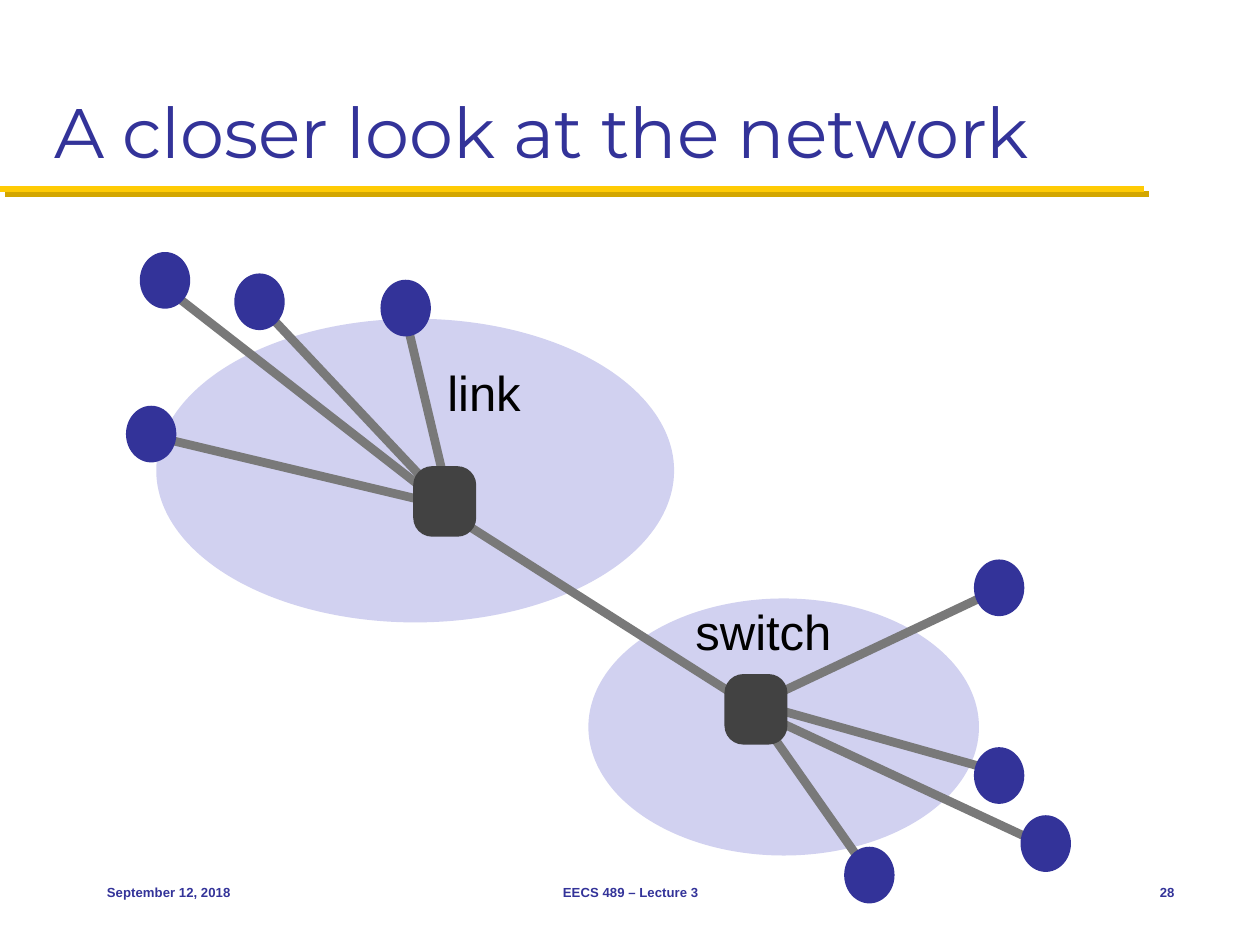
from lxml import etree
from pptx import Presentation
from pptx.dml.color import RGBColor
from pptx.enum import shapes, text
from pptx.oxml.ns import qn
from pptx.util import Inches, Pt

NAVY = RGBColor(0x33, 0x33, 0x99)
LAVENDER = RGBColor(0xD1, 0xD1, 0xF0)
LINK_GRAY = RGBColor(0x79, 0x79, 0x79)
SWITCH_GRAY = RGBColor(0x42, 0x42, 0x42)
GOLD = RGBColor(0xFF, 0xCB, 0x05)
DARK_GOLD = RGBColor(0xD3, 0xA6, 0x00)
BLACK = RGBColor(0, 0, 0)

presentation = Presentation()
presentation.slide_width = Inches(10)
presentation.slide_height = Inches(7.5)
slide = presentation.slides.add_slide(presentation.slide_layouts[5])


def add_line(start, end, color, width):
    """Draw a straight line and return its empty effect list."""
    line = slide.shapes.add_connector(
        shapes.MSO_CONNECTOR.STRAIGHT, *map(Inches, start + end))
    line.line.color.rgb = color
    line.line.width = Pt(width)
    return etree.SubElement(line._element.spPr, qn("a:effectLst"))


def add_filled(kind, box, color):
    shape = slide.shapes.add_shape(kind, *map(Inches, box))
    shape.shadow.inherit = False
    shape.fill.solid()
    shape.fill.fore_color.rgb = color
    shape.line.fill.background()
    return shape


# Title and the gold rule with its hard shadow
title = slide.shapes.title
title.left, title.top = Inches(0.33), Inches(0.17)
title.width, title.height = Inches(9.33), Inches(1.25)
frame = title.text_frame
frame.text = "A closer look at the network"
frame.auto_size = text.MSO_AUTO_SIZE.NONE
frame.vertical_anchor = text.MSO_ANCHOR.BOTTOM
frame.paragraphs[0].alignment = text.PP_ALIGN.LEFT
font = frame.paragraphs[0].runs[0].font
font.name, font.size, font.color.rgb = "Montserrat", Pt(40), NAVY

effects = add_line((0, 1.5), (9.08, 1.5), GOLD, 3.5)
shadow = etree.SubElement(effects, qn("a:outerShdw"), dist=str(Pt(4.2)),
                          dir=str(45 * 60000), algn="ctr", rotWithShape="0")
etree.SubElement(shadow, qn("a:srgbClr"), val=str(DARK_GOLD))

# Networks
for box in ((4.67, 4.75, 3.1, 2.04), (1.24, 2.53, 4.11, 2.41)):
    add_filled(shapes.MSO_SHAPE.OVAL, box, LAVENDER)

# Links
for start, end in (
    ((3.22, 2.52), (3.58, 4.04)),
    ((1.21, 3.46), (3.48, 4)),
    ((1.32, 2.29), (3.44, 3.94)),
    ((2.06, 2.42), (3.48, 3.93)),
    ((8.31, 6.72), (5.97, 5.63)),
    ((7.92, 4.68), (5.95, 5.61)),
    ((6.02, 5.68), (6.89, 6.92)),
    ((7.91, 6.12), (6.02, 5.59)),
    ((3.46, 4.01), (6.01, 5.63)),
):
    add_line(start, end, LINK_GRAY, 5)

# Hosts
for left, top in ((1, 3.22), (1.11, 2), (1.86, 2.17), (3.02, 2.22),
                  (7.73, 4.44), (6.7, 6.72), (7.73, 5.93), (8.1, 6.47)):
    add_filled(shapes.MSO_SHAPE.OVAL, (left, top, 0.4, 0.45), NAVY)

# Switches
for left, top in ((3.28, 3.7), (5.75, 5.35)):
    switch = add_filled(shapes.MSO_SHAPE.ROUNDED_RECTANGLE,
                        (left, top, 0.5, 0.56), SWITCH_GRAY)
    switch.adjustments[0] = 0.3

# Diagram labels and footer: wording, box, side margin, alignment, size, bold, color
LEFT, CENTER, RIGHT = (text.PP_ALIGN.LEFT, text.PP_ALIGN.CENTER,
                       text.PP_ALIGN.RIGHT)
for wording, box, margin, alignment, size, bold, color in (
    ("switch", (5.46, 4.72, 1.25, 0.58), 0.06, LEFT, 28, False, BLACK),
    ("link", (3.49, 2.82, 0.8, 0.58), 0.06, LEFT, 28, False, BLACK),
    ("September 12, 2018", (0.75, 6.83, 2.08, 0.5), 0.1, LEFT, 7.5, True, NAVY),
    ("EECS 489 – Lecture 3", (3.42, 6.83, 3.17, 0.5), 0.1, CENTER, 7.5, True, NAVY),
    ("28", (8.75, 6.83, 0.67, 0.5), 0.1, RIGHT, 7.5, True, NAVY),
):
    frame = slide.shapes.add_textbox(*map(Inches, box)).text_frame
    frame.text = wording
    frame.word_wrap = True
    frame.vertical_anchor = text.MSO_ANCHOR.MIDDLE
    frame.margin_left = frame.margin_right = Inches(margin)
    paragraph = frame.paragraphs[0]
    paragraph.alignment = alignment
    font = paragraph.runs[0].font
    font.name, font.size, font.bold = "Arial", Pt(size), bold
    font.color.rgb = color

presentation.save("out.pptx")
